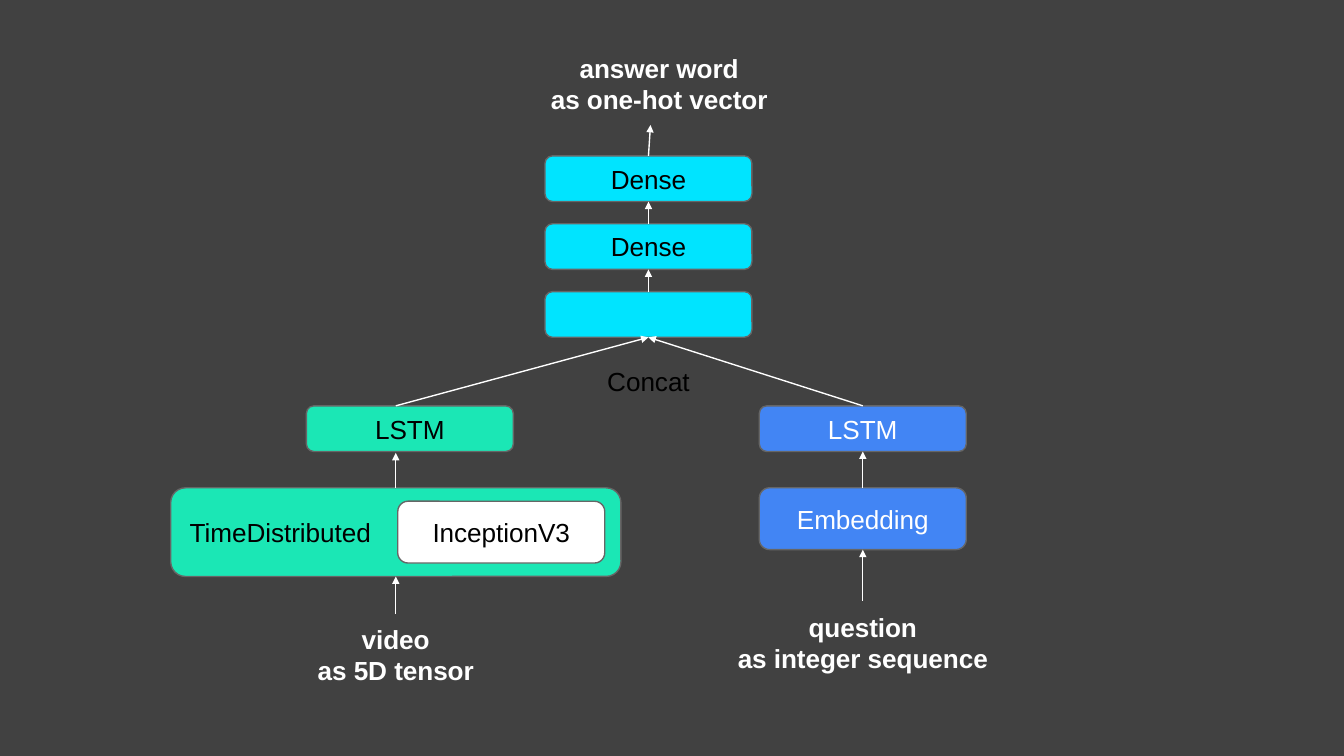
from lxml.etree import SubElement
from pptx import Presentation
from pptx.dml.color import RGBColor as RGB
from pptx.enum.shapes import MSO_CONNECTOR as Link, MSO_SHAPE as Kind
from pptx.enum.text import MSO_ANCHOR as Anchor, PP_ALIGN as Align
from pptx.oxml.ns import qn
from pptx.util import Inches, Pt

COLS, ROWS = 100, 56.25
HUES = {"back": "414141", "edge": "666666", "white": "FFFFFF", "black": "000000",
        "cyan": "00E4FF", "mint": "1BE7B5", "blue": "4285F4"}
TOP, BOTTOM = 0, 2


def hue(name):
    return RGB.from_string(HUES[name])


def grid(n):
    """Turn grid cells, a hundredth of the slide's width each, into a length."""
    return Inches(10 * n / COLS)


def write(frame, text, color="white", bold=False, align=Align.CENTER, inset=0, lead=None):
    frame.word_wrap = True
    frame.vertical_anchor = Anchor.MIDDLE
    frame.margin_left = grid(inset)
    frame.margin_right = frame.margin_top = frame.margin_bottom = 0
    for i, line in enumerate(text.split("\n")):
        para = frame.add_paragraph() if i else frame.paragraphs[0]
        para.alignment = align
        if lead:
            para.line_spacing = Pt(lead)
        run = para.add_run()
        run.text = line
        font = run.font
        font.name, font.size, font.bold = "Arial", Pt(14), bold
        font.color.rgb = hue(color)
        run._r.get_or_add_rPr().set("spc", "-5")


class Chart:
    def __init__(self, slide):
        self.shapes = slide.shapes

    def box(self, x, y, w, h, fill, text="", kind=Kind.ROUNDED_RECTANGLE, edge="edge", **style):
        shape = self.shapes.add_shape(kind, *map(grid, (x, y, w, h)))
        shape.shadow.inherit = False
        shape.fill.solid()
        shape.fill.fore_color.rgb = hue(fill)
        if edge:
            shape.line.color.rgb = hue(edge)
            shape.line.width = Pt(0.75)
        else:
            shape.line.fill.background()
        if text:
            write(shape.text_frame, text, **style)
        return shape

    def label(self, mid, y, w, h, text, **style):
        """Place text centred on the column mid."""
        area = self.shapes.add_textbox(*map(grid, (mid - w / 2, y, w, h)))
        write(area.text_frame, text, **style)

    def arrow(self, start, end):
        """Draw upwards; each end is a box to join or an (x, y) point."""
        line = self.shapes.add_connector(Link.STRAIGHT, 0, 0, 0, 0)
        if isinstance(start, tuple):
            line.begin_x, line.begin_y = map(grid, start)
        else:
            line.begin_connect(start, TOP)
        if isinstance(end, tuple):
            line.end_x, line.end_y = map(grid, end)
        else:
            line.end_connect(end, BOTTOM)
        line.line.color.rgb = hue("white")
        line.line.width = Pt(0.75)
        props = line._element.spPr
        SubElement(props.find(qn("a:ln")), qn("a:tailEnd"), type="triangle", w="sm", len="sm")
        SubElement(props, qn("a:effectLst"))


def main():
    deck = Presentation()
    deck.slide_width, deck.slide_height = grid(COLS), grid(ROWS)
    chart = Chart(deck.slides.add_slide(deck.slide_layouts[6]))
    chart.box(0, 0, COLS, ROWS, "back", kind=Kind.RECTANGLE, edge=None)

    wide, low, tall = 15.4, 3.4, 4.6
    left, mid, right = 29.45, 48.25, 64.2

    # Merged head, from the bottom up
    merge, inner, outer = [
        chart.box(mid - wide / 2, 21.7 - 5.05 * i, wide, low, "cyan", text, color="black")
        for i, text in enumerate(("", "Dense", "Dense"))]
    chart.label(mid, 27.05, 6.4, 2.6, "Concat", color="black")

    # Video branch
    video = chart.box(12.7, 36.3, 33.5, 6.6, "mint", "TimeDistributed",
                      color="black", align=Align.LEFT, inset=1.1)
    chart.box(29.6, 37.3, wide, tall, "white", "InceptionV3", color="black")
    chart.box(22.8, 30.2, wide, low, "mint", "LSTM", color="black")

    # Question branch
    embed = chart.box(right - wide / 2, 36.3, wide, tall, "blue", "Embedding")
    recur = chart.box(right - wide / 2, 30.2, wide, low, "blue", "LSTM")

    for x, y, wide, text in ((49.05, 3.8, 17, "answer word\nas one-hot vector"),
                             (left, 46.3, 13, "video\nas 5D tensor"),
                             (right, 45.4, 20, "question\nas integer sequence")):
        chart.label(x, y, wide, 4.9, text, bold=True, lead=16.6)

    for start, end in (((left, 45.7), video), (video, (left, 33.7)),
                       ((left, 30.2), merge), ((right, 44.7), embed),
                       (embed, recur), (recur, merge), (merge, inner),
                       (inner, outer), (outer, (48.4, 9.3))):
        chart.arrow(start, end)

    deck.save("out.pptx")


if __name__ == "__main__":
    main()
